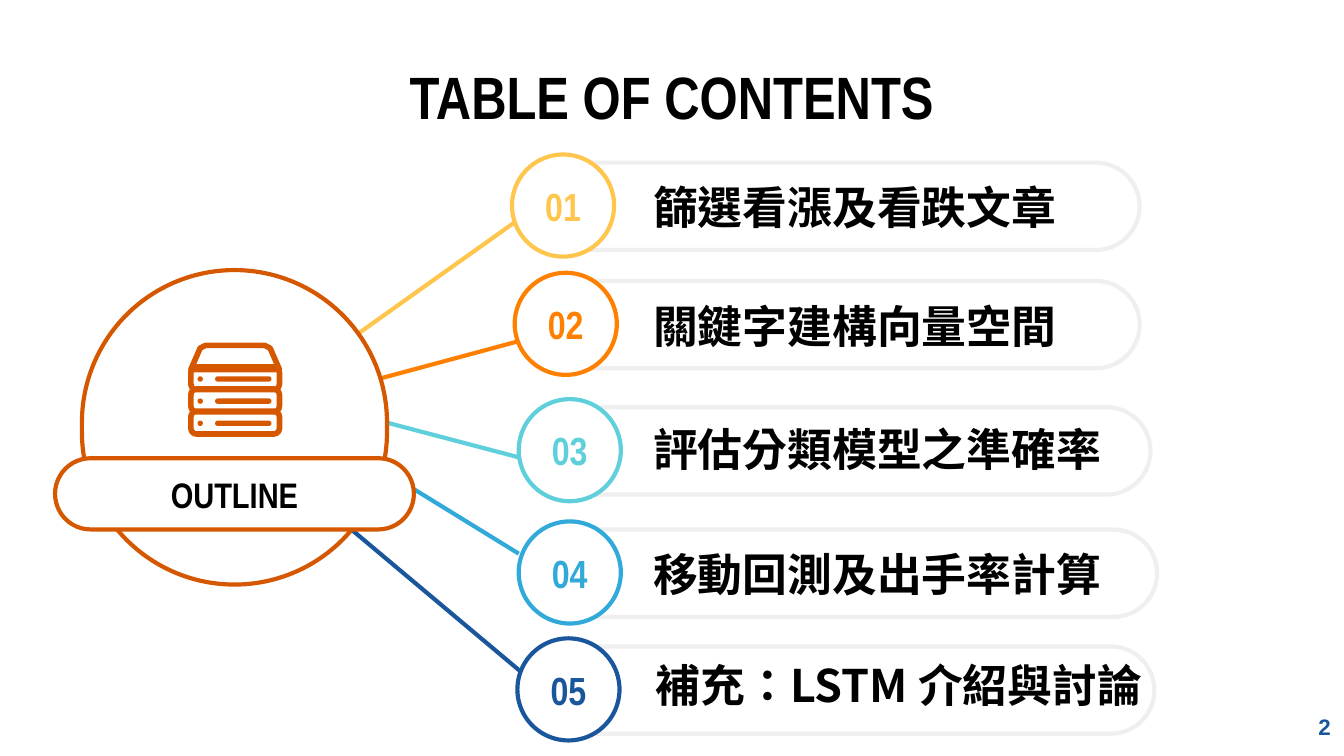
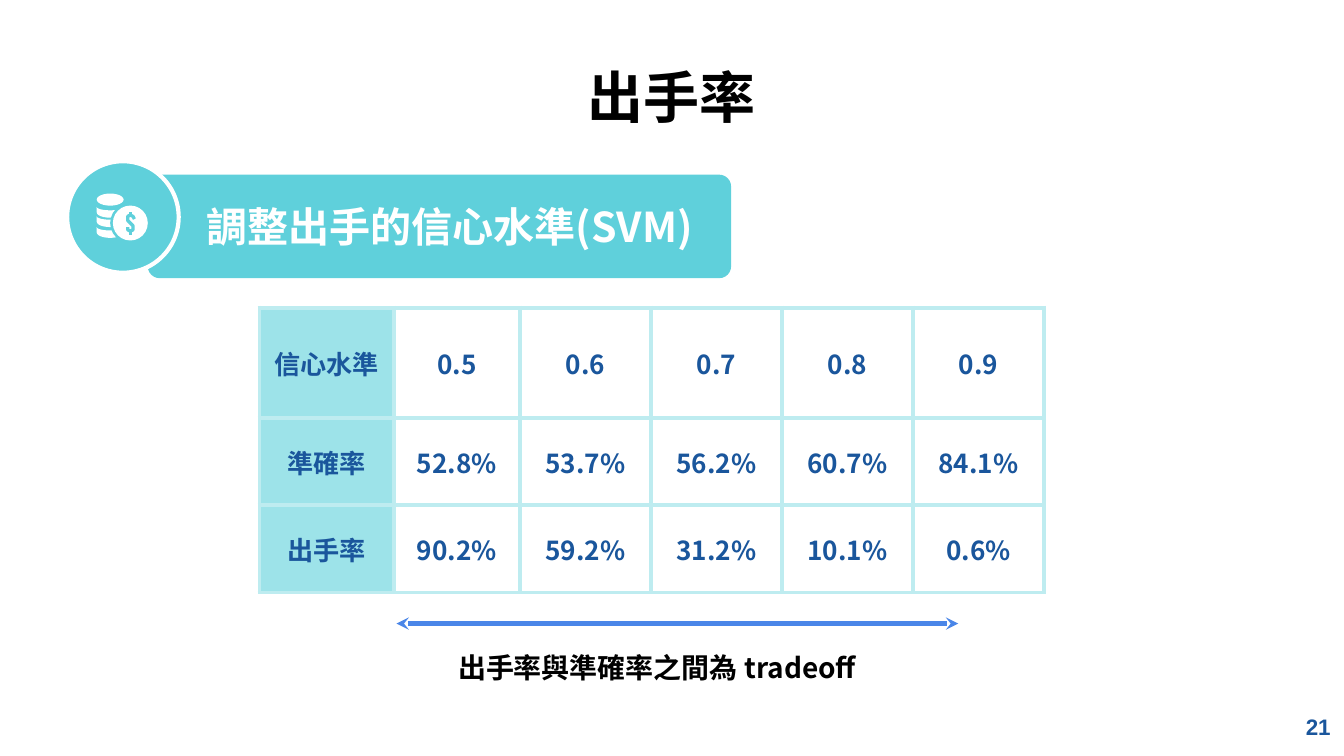
import math

import lxml.etree
import pptx
import pptx.dml.color
import pptx.enum.shapes
import pptx.enum.text
import pptx.oxml.ns
import pptx.util

Inches = pptx.util.Inches
Pt = pptx.util.Pt
RGBColor = pptx.dml.color.RGBColor
SHAPE = pptx.enum.shapes.MSO_SHAPE
ALIGN = pptx.enum.text.PP_ALIGN
ANCHOR = pptx.enum.text.MSO_ANCHOR
STRAIGHT = pptx.enum.shapes.MSO_CONNECTOR.STRAIGHT
qn = pptx.oxml.ns.qn

COLORS = {
    "white": "FFFFFF",
    "black": "000000",
    "bar": "EFEFEF",
    "yellow": "FFC64E",
    "orange": "FF8001",
    "teal": "5FD0DB",
    "sky": "32AAD9",
    "navy": "1A569C",
    "rust": "D55800",
    "header": "9DE3E9",
    "border": "BEECF0",
    "arrow": "4A86E8",
}
LATIN, NARROW, CHINESE = "Arial", "Arial Narrow", "Noto Sans CJK TC"
LINE_WIDTH = 2.25


def style_shape(shape, fill=None, line=None, width=LINE_WIDTH):
    """Give a shape a plain fill and outline, without a shadow."""
    shape.shadow.inherit = False
    if fill:
        shape.fill.solid()
        shape.fill.fore_color.rgb = RGBColor.from_string(COLORS[fill])
    else:
        shape.fill.background()
    if line:
        shape.line.color.rgb = RGBColor.from_string(COLORS[line])
        shape.line.width = Pt(width)
    else:
        shape.line.fill.background()


def style_text(frame, text, font, size, color, align=ALIGN.LEFT,
               insets=None, anchor=ANCHOR.MIDDLE):
    """Write one bold paragraph; insets are left, top, right, bottom."""
    frame.text = text
    if insets:
        frame.word_wrap = True
        frame.auto_size = pptx.enum.text.MSO_AUTO_SIZE.NONE
        frame.vertical_anchor = anchor
        (frame.margin_left, frame.margin_top,
         frame.margin_right, frame.margin_bottom) = map(Inches, insets)
    paragraph = frame.paragraphs[0]
    paragraph.alignment = align
    for run in paragraph.runs:
        run.font.size = Pt(size)
        run.font.bold = True
        run.font.color.rgb = RGBColor.from_string(COLORS[color])
        run.font.name = font
        run.font._element.set("lang", "zh-TW")
        east_asian = lxml.etree.SubElement(run.font._element, qn("a:ea"))
        east_asian.set("typeface", font)


# Widescreen, 16 to 9
presentation = pptx.Presentation()
presentation.slide_width = Inches(10)
presentation.slide_height = Inches(10) * 9 // 16
EVEN = (0.1, 0.1, 0.1, 0.1)

# Title and page number of both slides
slides = []
for title, font, size, page in [("TABLE OF CONTENTS", NARROW, 32, "2"),
                                ("出手率", CHINESE, 30, "21")]:
    slide = presentation.slides.add_slide(presentation.slide_layouts[5])
    shape = slide.shapes.title
    shape.left, shape.top = Inches(0.5), Inches(0.45)
    shape.width, shape.height = Inches(9), Inches(0.53)
    style_text(shape.text_frame, title, font, size, "black", ALIGN.CENTER, EVEN)
    number = slide.shapes.add_textbox(Inches(9.4), Inches(5.19), Inches(0.6), Inches(0.43))
    style_text(number.text_frame, page, LATIN, 12, "navy", ALIGN.RIGHT, EVEN)
    slides.append(slide)
contents_slide, rate_slide = slides

# Contents: one bar, connector, numbered circle and label per topic
# text, color, circle left and top, bar right end, label left and top, connector ends
topics = [
    ("篩選看漲及看跌文章", "yellow", 3.81, 1.15, 8.48, 4.26, 1.31, (1.98, 2.97, 3.92, 1.59)),
    ("關鍵字建構向量空間", "orange", 3.83, 2.03, 8.48, 4.26, 2.2, (2.22, 2.98, 3.93, 2.52)),
    ("評估分類模型之準確率", "teal", 3.86, 2.97, 8.56, 4.26, 3.11, (2.29, 2.99, 4, 3.44)),
    ("移動回測及出手率計算", "sky", 3.86, 3.88, 8.61, 4.26, 4.04, (2.04, 3, 3.86, 4.12)),
    ("補充：LSTM 介紹與討論", "navy", 3.85, 4.75, 8.59, 4.28, 4.87, (2.4, 3.76, 3.89, 5.01)),
]
shapes = contents_slide.shapes
for index, topic in enumerate(topics, 1):
    text, color, left, top, bar_right, label_left, label_top, ends = topic
    bar_left = left + 0.11
    bar = shapes.add_shape(SHAPE.ROUNDED_RECTANGLE, Inches(bar_left), Inches(top + 0.06),
                           Inches(bar_right - bar_left), Inches(0.65))
    bar.adjustments[0] = 0.5
    style_shape(bar, "white", "bar")

    connector = shapes.add_connector(STRAIGHT, *map(Inches, ends))
    connector.line.color.rgb = RGBColor.from_string(COLORS[color])
    connector.line.width = Pt(LINE_WIDTH)
    lxml.etree.SubElement(connector._element.spPr, qn("a:effectLst"))

    circle = shapes.add_shape(SHAPE.OVAL, Inches(left), Inches(top), Inches(0.76), Inches(0.76))
    style_shape(circle, "white", color)
    style_text(circle.text_frame, f"{index:02}", NARROW, 21, color, ALIGN.CENTER,
               (0, 0.1, 0, 0.1))

    label = shapes.add_textbox(Inches(label_left), Inches(label_top), Inches(4.51), Inches(0.45))
    style_text(label.text_frame, text, CHINESE, 24, "black", insets=(0.6, 0.1, 0.2, 0.1))

# Outline dome and its band
for left, top, width, height, text in [(0.61, 2.01, 2.27, 2.34, ""),
                                       (0.41, 3.41, 2.67, 0.53, "OUTLINE")]:
    shape = shapes.add_shape(SHAPE.ROUNDED_RECTANGLE, Inches(left), Inches(top),
                             Inches(width), Inches(height))
    shape.adjustments[0] = 0.5
    style_shape(shape, "white", "rust")
    if text:
        style_text(shape.text_frame, text, NARROW, 19, "black", ALIGN.CENTER, EVEN)

# Server icon: lid, then three units with a lamp and a slot
lid = [(1.42, 2.75), (1.49, 2.59), (1.53, 2.57), (1.97, 2.57), (2.01, 2.59), (2.08, 2.75)]
lid = [(Inches(x), Inches(y)) for x, y in lid]
builder = shapes.build_freeform(*lid[0], scale=1.0)
builder.add_line_segments(lid[1:], close=True)
style_shape(builder.convert_to_shape(), None, "rust", 3)
for row in range(3):
    top = 2.73 + 0.165 * row
    unit = shapes.add_shape(SHAPE.ROUNDED_RECTANGLE, Inches(1.42), Inches(top),
                            Inches(0.66), Inches(0.17))
    unit.adjustments[0] = 0.25
    style_shape(unit, None, "rust", 3)
    for left, width in [(1.47, 0.04), (1.6, 0.42)]:
        mark = shapes.add_shape(SHAPE.ROUNDED_RECTANGLE, Inches(left), Inches(top + 0.07),
                                Inches(width), Inches(0.04))
        mark.adjustments[0] = 0.5
        style_shape(mark, "rust")

# Rate: banner with its badge
shapes = rate_slide.shapes
banner = shapes.add_shape(SHAPE.ROUNDED_RECTANGLE, Inches(1.1), Inches(1.3),
                          Inches(4.34), Inches(0.77))
banner.adjustments[0] = 0.115
style_shape(banner, "teal")
badge = shapes.add_shape(SHAPE.OVAL, Inches(0.5), Inches(1.2), Inches(0.83), Inches(0.83))
style_shape(badge, "teal", "white")
heading = shapes.add_textbox(Inches(1.44), Inches(1.53), Inches(3.85), Inches(0.31))
style_text(heading.text_frame, "調整出手的信心水準(SVM)", CHINESE, 22, "white",
           insets=(0.1, 0.05, 0.1, 0.05))

# Coin icon: curved bands of the stack
angles = [math.pi * step / 12 for step in range(13)]
for edge in (1.54, 1.61, 1.69):
    curve = [(0.82 - 0.1 * math.cos(angle), 0.025 * math.sin(angle)) for angle in angles]
    outline = [(x, edge + y) for x, y in curve]
    outline += [(x, edge + 0.04 + 1.6 * y) for x, y in reversed(curve)]
    outline = [(Inches(x), Inches(y)) for x, y in outline]
    builder = shapes.build_freeform(*outline[0], scale=1.0)
    builder.add_line_segments(outline[1:], close=True)
    style_shape(builder.convert_to_shape(), "white")

# Coin icon: top coin, gap around the front coin, front coin
for left, top, width, height, color in [(0.72, 1.44, 0.2, 0.09, "white"),
                                        (0.82, 1.51, 0.3, 0.3, "teal"),
                                        (0.84, 1.53, 0.26, 0.26, "white")]:
    coin = shapes.add_shape(SHAPE.OVAL, Inches(left), Inches(top), Inches(width), Inches(height))
    style_shape(coin, color)

# Coin icon: dollar sign strokes
curl = [(1, 1.63), (0.99, 1.61), (0.97, 1.6), (0.95, 1.61), (0.95, 1.64), (0.97, 1.66),
        (0.99, 1.68), (0.99, 1.71), (0.97, 1.72), (0.95, 1.71), (0.95, 1.69)]
for stroke in (curl, [(0.97, 1.58), (0.97, 1.6)], [(0.97, 1.72), (0.97, 1.75)]):
    stroke = [(Inches(x), Inches(y)) for x, y in stroke]
    builder = shapes.build_freeform(*stroke[0], scale=1.0)
    builder.add_line_segments(stroke[1:], close=False)
    style_shape(builder.convert_to_shape(), None, "teal", 1.75)

# Table of confidence level, accuracy and trade rate
rows = [
    ("信心水準", "0.5", "0.6", "0.7", "0.8", "0.9"),
    ("準確率", "52.8%", "53.7%", "56.2%", "60.7%", "84.1%"),
    ("出手率", "90.2%", "59.2%", "31.2%", "10.1%", "0.6%"),
]
table = shapes.add_table(3, 6, Inches(1.93), Inches(2.29), Inches(5.84), Inches(2.12)).table
table.first_row = False
table.horz_banding = False
for column, width in zip(table.columns, [1, 0.94] + [3.9 / 4] * 4):
    column.width = Inches(width)
for row, height in zip(table.rows, (0.82, 0.65, 0.65)):
    row.height = Inches(height)
for row_index, values in enumerate(rows):
    for column_index, value in enumerate(values):
        cell = table.cell(row_index, column_index)
        style_text(cell.text_frame, value, CHINESE, 14, "navy", ALIGN.CENTER)
        cell.vertical_anchor = ANCHOR.MIDDLE
        cell.margin_left = cell.margin_right = Inches(0.08)
        cell.margin_top = cell.margin_bottom = Inches(0.08)
        properties = cell._tc.get_or_add_tcPr()
        for side in ("a:lnL", "a:lnR", "a:lnT", "a:lnB"):
            border = lxml.etree.SubElement(properties, qn(side), w=str(Pt(LINE_WIDTH)))
            border_fill = lxml.etree.SubElement(border, qn("a:solidFill"))
            lxml.etree.SubElement(border_fill, qn("a:srgbClr"), val=COLORS["border"])
        cell.fill.solid()
        cell.fill.fore_color.rgb = RGBColor.from_string(
            COLORS["white" if column_index else "header"])

# Trade-off arrow and its caption
arrow = shapes.add_connector(STRAIGHT, Inches(2.95), Inches(4.64), Inches(7.13), Inches(4.64))
arrow.line.color.rgb = RGBColor.from_string(COLORS["arrow"])
arrow.line.width = Pt(LINE_WIDTH)
for end in ("a:headEnd", "a:tailEnd"):
    lxml.etree.SubElement(arrow.line._get_or_add_ln(), qn(end), type="stealth")
lxml.etree.SubElement(arrow._element.spPr, qn("a:effectLst"))
caption = shapes.add_textbox(Inches(3.31), Inches(4.74), Inches(3.4), Inches(0.45))
style_text(caption.text_frame, "出手率與準確率之間為 tradeoff", CHINESE, 15, "black",
           insets=EVEN, anchor=ANCHOR.TOP)

presentation.save("out.pptx")
